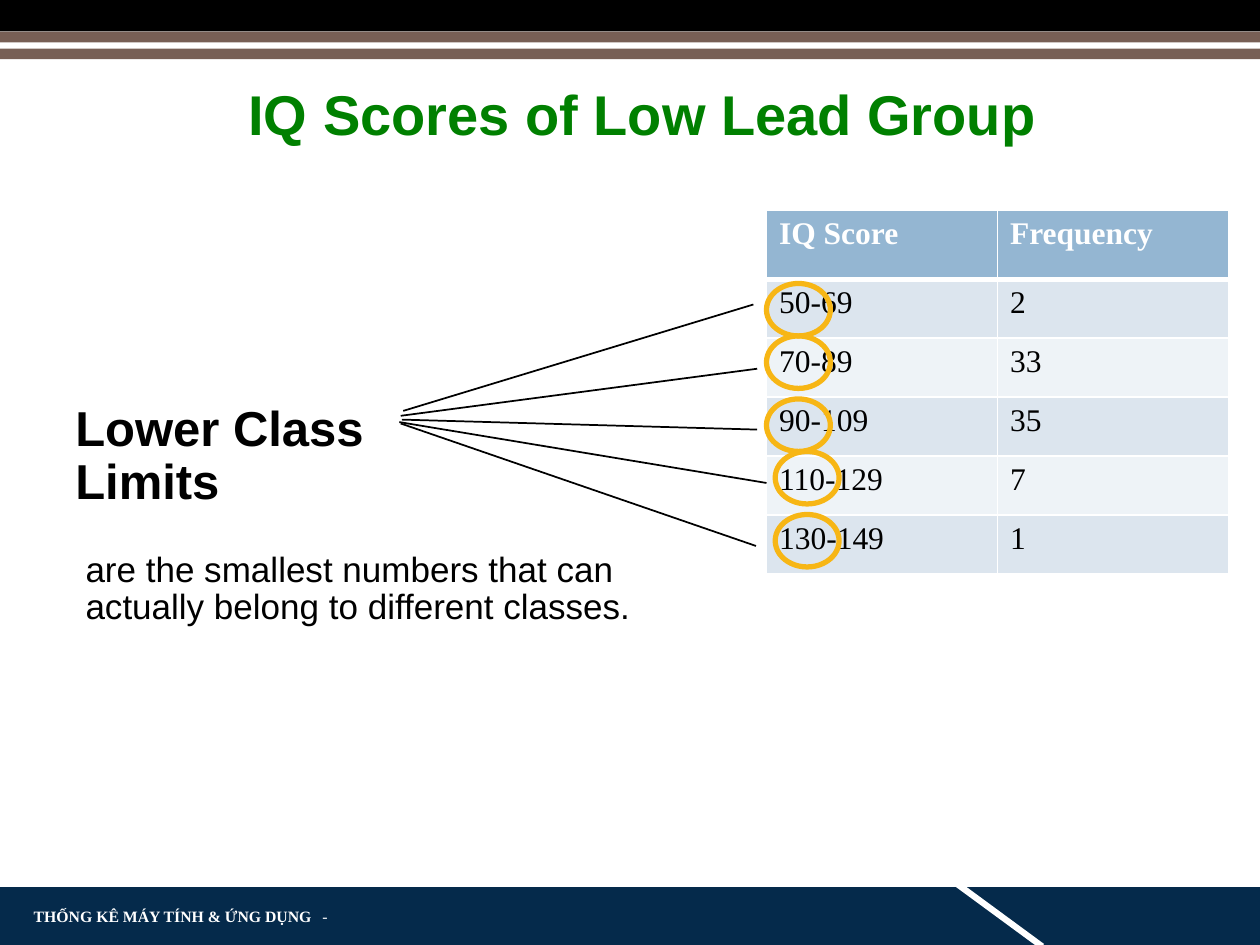
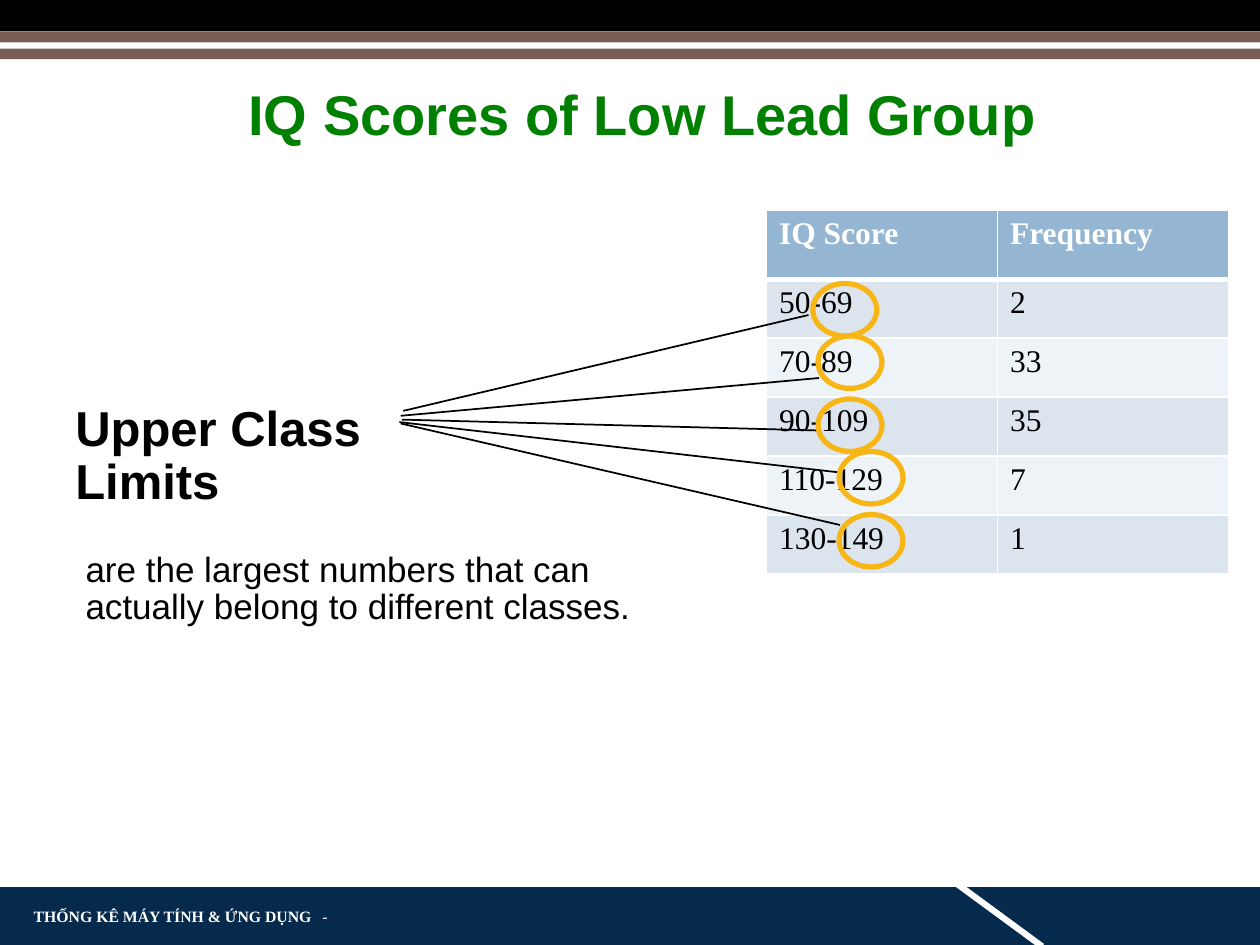
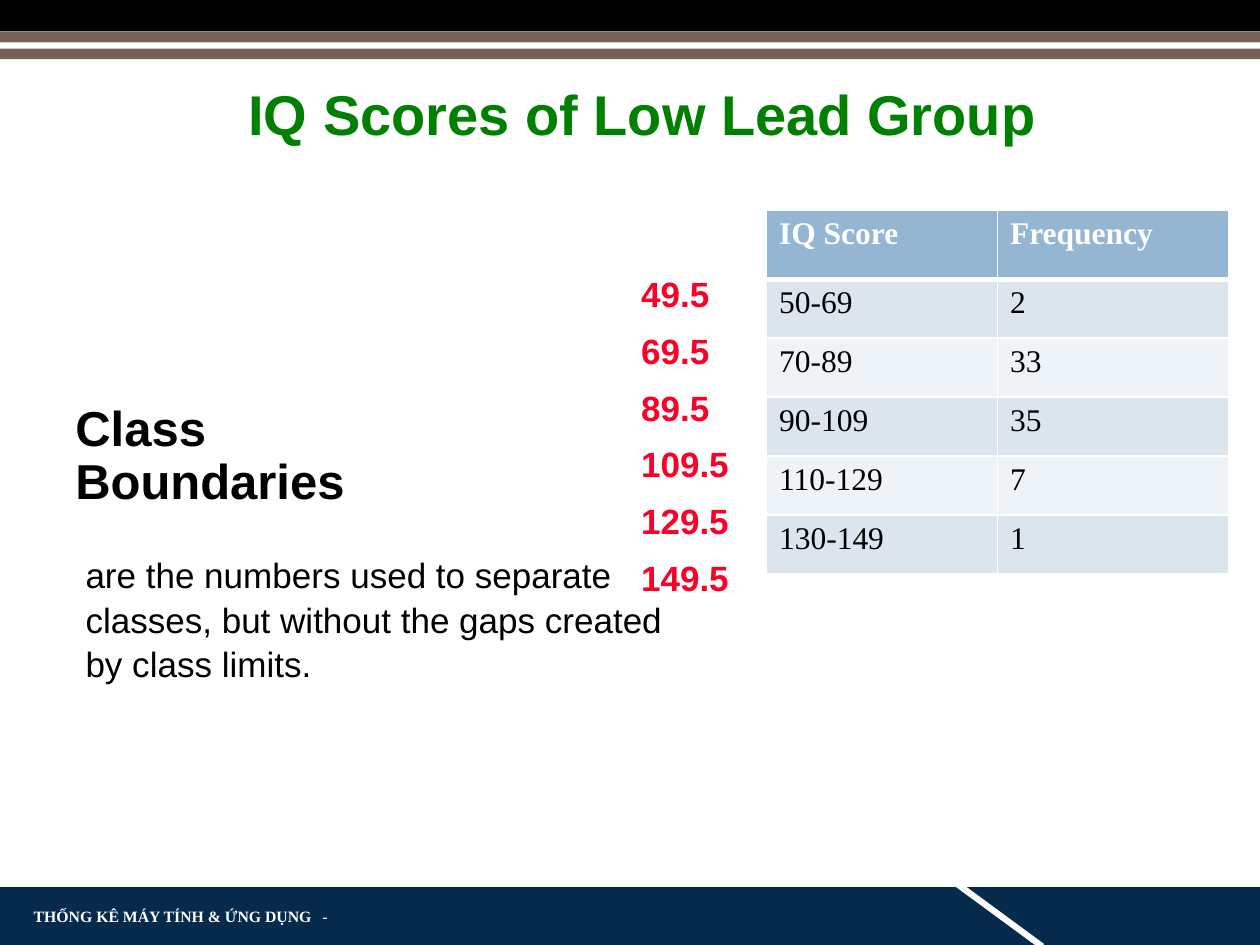
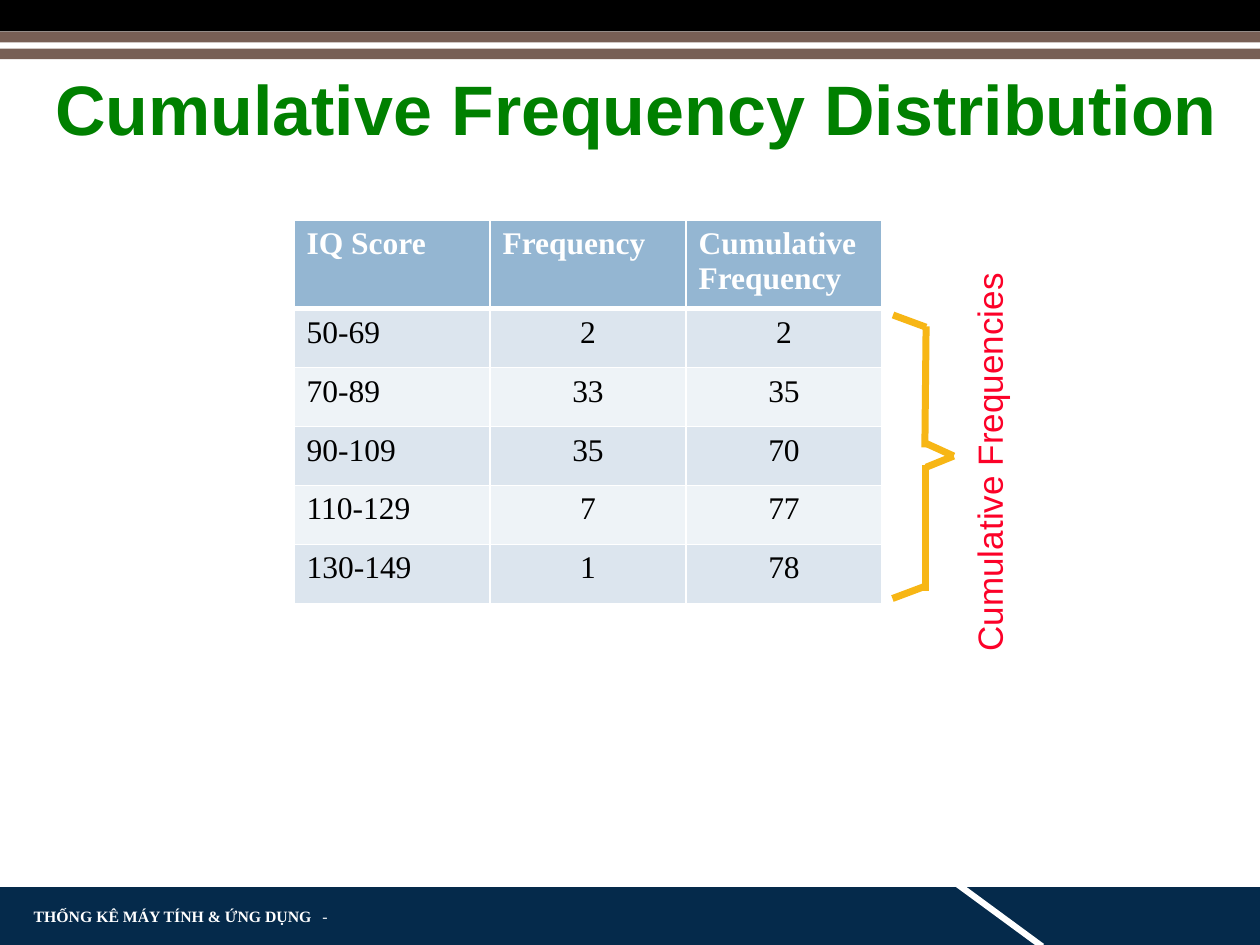
"""Build four slides on frequency distributions of IQ scores."""
from dataclasses import dataclass
from typing import Any, NamedTuple, Optional

from lxml import etree
from pptx import Presentation
from pptx import util as u
from pptx.dml import color
from pptx.enum import shapes, text
from pptx.oxml import ns

ARIAL, TIMES = "Arial", "Times New Roman"
WHITE, BLACK, NAVY, BROWN = "FFFFFF", "000000", "052A4B", "775F55"
GREEN, RED, AMBER = "008000", "FC0128", "F7B615"
HEADER, BANDS = "94B6D2", ("DCE5EE", "EEF3F7")

TITLE = {"size": 32, "color": GREEN, "bold": True}
BIG_TITLE = {**TITLE, "size": 40}
TERM = {"size": 28, "color": BLACK, "bold": True}
BODY = {"size": 20, "color": BLACK}
BOUNDARY = {"size": 20, "color": RED, "bold": True}
SIDE_LABEL = {"size": 20, "color": RED}
FOOTER = {"name": TIMES, "size": 9, "color": WHITE, "bold": True}
CELL = {"name": TIMES, "size": 18, "color": BLACK, "bold": False}
CELL_HEADER = {**CELL, "color": WHITE, "bold": True}

SCORES = ["50-69", "70-89", "90-109", "110-129", "130-149"]
FREQUENCIES = [2, 33, 35, 7, 1]
CUMULATIVE = [sum(FREQUENCIES[:count]) for count in range(1, len(FREQUENCIES) + 1)]
ROW_HEIGHT = 33.7


class Point(NamedTuple):
    """A place on the slide."""
    x: float
    y: float


class Box(NamedTuple):
    """Left, top, width and height."""
    left: float
    top: float
    width: float
    height: float

    def lengths(self) -> list[u.Length]:
        """Return the four values as lengths."""
        return [u.Pt(value) for value in self]


class Band(NamedTuple):
    """A filled rectangle of the frame."""
    box: Box
    fill: str
    rotation: float = 0


@dataclass
class Label:
    """A text box with one format."""
    box: Box
    lines: list[str]
    style: dict[str, Any]
    spacing: float = 0.9
    centred: bool = False
    middle: bool = False
    wrap: bool = True
    grow: bool = True
    rotation: float = 0


@dataclass
class ClassSlide:
    """A slide that explains one term beside the frequency table."""
    term: Label
    meaning: Label
    ring_lefts: tuple[float, ...] = ()
    pointer_ends: tuple[Point, ...] = ()
    boundaries: Optional[Label] = None


FRAME = [
    Band(Box(0, 507, 720, 33), NAVY),
    Band(Box(541.4, 521.3, 60, 3.6), WHITE, 36.3),
    Band(Box(0, 0, 720, 18), BLACK),
    Band(Box(0, 18, 720, 15.8), BROWN),
    Band(Box(0, 24.2, 720, 3.6), WHITE),
]
RING_TOPS = (162, 192, 228, 258, 294)
POINTER_STARTS = (Point(230.4, 234.8), Point(229, 237.6), Point(229.7, 239.8),
                  Point(228.2, 241.2), Point(229, 242))
BRACE = [
    (Point(529.2, 187), Point(510.3, 180)),
    (Point(528.5, 255.6), Point(529.2, 186.5)),
    (Point(529.2, 253.4), Point(545, 260.6)),
    (Point(529.2, 267), Point(545, 260.6)),
    (Point(528.8, 337.7), Point(528.8, 265.7)),
    (Point(529.2, 334.8), Point(510, 342)),
]


def rgb(value: str) -> color.RGBColor:
    """Turn a hex string into a colour."""
    return color.RGBColor.from_string(value)


def format_run(run, style: dict[str, Any]) -> None:
    """Apply a dict of font values to a run."""
    for key, value in {"name": ARIAL, "bold": False, **style}.items():
        if key == "color":
            run.font.color.rgb = rgb(value)
        else:
            setattr(run.font, key, u.Pt(value) if key == "size" else value)


def add_label(slide, label: Label):
    """Add a text box with one paragraph for each line."""
    shape = slide.shapes.add_textbox(*label.box.lengths())
    shape.rotation = label.rotation
    frame = shape.text_frame
    settings = {
        "word_wrap": label.wrap,
        "auto_size": text.MSO_AUTO_SIZE.SHAPE_TO_FIT_TEXT if label.grow else text.MSO_AUTO_SIZE.NONE,
        "vertical_anchor": text.MSO_ANCHOR.MIDDLE if label.middle else text.MSO_ANCHOR.TOP,
    }
    for key, value in settings.items():
        setattr(frame, key, value)
    for index, line in enumerate(label.lines):
        paragraph = frame.add_paragraph() if index else frame.paragraphs[0]
        paragraph.line_spacing = label.spacing
        paragraph.alignment = text.PP_ALIGN.CENTER if label.centred else text.PP_ALIGN.LEFT
        run = paragraph.add_run()
        run.text = line
        format_run(run, label.style)
    return shape


def add_band(slide, band: Band) -> None:
    """Add a plain filled rectangle."""
    shape = slide.shapes.add_shape(shapes.MSO_SHAPE.RECTANGLE, *band.box.lengths())
    shape.shadow.inherit = False
    shape.rotation = band.rotation
    shape.fill.solid()
    shape.fill.fore_color.rgb = rgb(band.fill)
    shape.line.fill.background()


def add_ring(slide, box: Box) -> None:
    """Add an open ellipse."""
    shape = slide.shapes.add_shape(shapes.MSO_SHAPE.OVAL, *box.lengths())
    shape.shadow.inherit = False
    shape.fill.background()
    shape.line.color.rgb = rgb(AMBER)
    shape.line.width = u.Pt(3)


def add_line(slide, start: Point, end: Point, stroke: str, width: float) -> None:
    """Add a straight line without a shadow."""
    ends = [u.Pt(value) for value in (*start, *end)]
    connector = slide.shapes.add_connector(shapes.MSO_CONNECTOR.STRAIGHT, *ends)
    connector.line.color.rgb = rgb(stroke)
    connector.line.width = u.Pt(width)
    etree.SubElement(connector._element.spPr, ns.qn("a:effectLst"))


def add_footer(slide) -> None:
    """Add the course name, with its dash on a tab stop."""
    label = Label(Box(12.2, 516.2, 186, 14.4), ["THỐNG KÊ MÁY TÍNH & ỨNG DỤNG"],
                  FOOTER, spacing=1, middle=True, grow=False)
    frame = add_label(slide, label).text_frame
    frame.margin_top = frame.margin_bottom = 0
    paragraph = frame.paragraphs[0]
    stops = etree.SubElement(paragraph._p.get_or_add_pPr(), ns.qn("a:tabLst"))
    etree.SubElement(stops, ns.qn("a:tab"), pos=str(u.Pt(165)), algn="l")
    dash = paragraph.add_run()
    dash.text = "\t-"
    format_run(dash, {**FOOTER, "bold": False})


def add_borders(cell, bottom: float) -> None:
    """Draw white borders round a cell."""
    properties = cell._tc.get_or_add_tcPr()
    for side, width in {"lnL": 1, "lnR": 1, "lnT": 1, "lnB": bottom}.items():
        line = etree.SubElement(properties, ns.qn(f"a:{side}"), w=str(u.Pt(width)))
        fill = etree.SubElement(line, ns.qn("a:solidFill"))
        etree.SubElement(fill, ns.qn("a:srgbClr"), val=WHITE)


def add_score_table(slide, corner: Point, column_width: float, header_height: float,
                    columns: dict[str, list], centred: bool = False) -> None:
    """Add a table with a header and banded rows."""
    rows = [list(columns), *zip(*columns.values())]
    box = Box(*corner, column_width * len(columns), header_height + ROW_HEIGHT * (len(rows) - 1))
    table = slide.shapes.add_table(len(rows), len(columns), *box.lengths()).table
    for column in table.columns:
        column.width = u.Pt(column_width)
    for row_index, values in enumerate(rows):
        is_header = row_index == 0
        table.rows[row_index].height = u.Pt(header_height if is_header else ROW_HEIGHT)
        for column_index, value in enumerate(values):
            cell = table.cell(row_index, column_index)
            add_borders(cell, 3 if is_header else 1)
            cell.fill.solid()
            cell.fill.fore_color.rgb = rgb(HEADER if is_header else BANDS[(row_index - 1) % 2])
            paragraph = cell.text_frame.paragraphs[0]
            if centred and column_index and not is_header:
                paragraph.alignment = text.PP_ALIGN.CENTER
            run = paragraph.add_run()
            run.text = str(value)
            format_run(run, CELL_HEADER if is_header else CELL)


def add_framed_slide(presentation):
    """Add a blank slide with the shared bands and footer."""
    slide = presentation.slides.add_slide(presentation.slide_layouts[6])
    for band in FRAME:
        add_band(slide, band)
    add_footer(slide)
    return slide


def add_class_slide(presentation, content: ClassSlide) -> None:
    """Add a slide with a term, its meaning and the frequency table."""
    slide = add_framed_slide(presentation)
    add_score_table(slide, Point(438, 120), 132, 39.6,
                    {"IQ Score": SCORES, "Frequency": FREQUENCIES})
    add_label(slide, Label(Box(28.8, 16.6, 676.8, 100.8), ["IQ Scores of Low Lead Group"],
                           TITLE, centred=True, middle=True, grow=False))
    add_label(slide, content.term)
    for start, end in zip(POINTER_STARTS, content.pointer_ends):
        add_line(slide, start, end, BLACK, 1)
    for left, top in zip(content.ring_lefts, RING_TOPS):
        add_ring(slide, Box(left, top, 36.5, 30))
    add_label(slide, content.meaning)
    if content.boundaries:
        add_label(slide, content.boundaries)


def add_cumulative_slide(presentation) -> None:
    """Add the slide with the cumulative table and its brace."""
    slide = add_framed_slide(presentation)
    add_label(slide, Label(Box(24.5, 39.6, 679.7, 50.4),
                           ["Cumulative Frequency Distribution"], BIG_TITLE))
    add_label(slide, Label(Box(446.4, 231.8, 253.4, 41.8), ["Cumulative Frequencies"],
                           SIDE_LABEL, grow=False, rotation=270))
    for start, end in BRACE:
        add_line(slide, start, end, AMBER, 4)
    add_score_table(slide, Point(168, 126), 112, 50.4,
                    {"IQ Score": SCORES, "Frequency": FREQUENCIES,
                     "Cumulative Frequency": CUMULATIVE}, centred=True)


def term_label(lines: list[str], width: float) -> Label:
    """Return the large term at the left."""
    return Label(Box(36, 227.5, width, 68.4), lines, TERM, wrap=False)


def meaning_label(line: str, height: float = 51, spacing: float = 0.9) -> Label:
    """Return the explanation below the term."""
    return Label(Box(41.8, 311.8, 360, height), [line], BODY, spacing=spacing)


CLASS_SLIDES = [
    ClassSlide(
        term_label(["Lower Class", "Limits"], 181.4),
        meaning_label("are the smallest numbers that can actually belong to different classes."),
        (438, 438, 438, 443, 443),
        (Point(430.5, 174), Point(432.7, 210.7), Point(432.7, 245.5),
         Point(438, 276), Point(432, 312)),
    ),
    ClassSlide(
        term_label(["Upper Class", "Limits"], 179.3),
        meaning_label("are the largest numbers that can actually belong to different classes."),
        (464.5, 467.5, 467.5, 479.5, 479.5),
        (Point(462, 180), Point(468, 216), Point(468, 246), Point(480, 270), Point(480, 300)),
    ),
    ClassSlide(
        term_label(["Class", "Boundaries"], 170),
        meaning_label("are the numbers used to separate classes, but without the gaps "
                      "created by class limits.", 83.5, 1.05),
        boundaries=Label(Box(359.3, 144, 90.7, 203.8),
                         ["49.5", "69.5", "89.5", "109.5", "129.5", "149.5"],
                         BOUNDARY, spacing=1.35),
    ),
]


def main() -> None:
    """Build and save the presentation."""
    presentation = Presentation()
    presentation.slide_width, presentation.slide_height = u.Pt(720), u.Pt(540)
    for content in CLASS_SLIDES:
        add_class_slide(presentation, content)
    add_cumulative_slide(presentation)
    presentation.save("out.pptx")


main()
